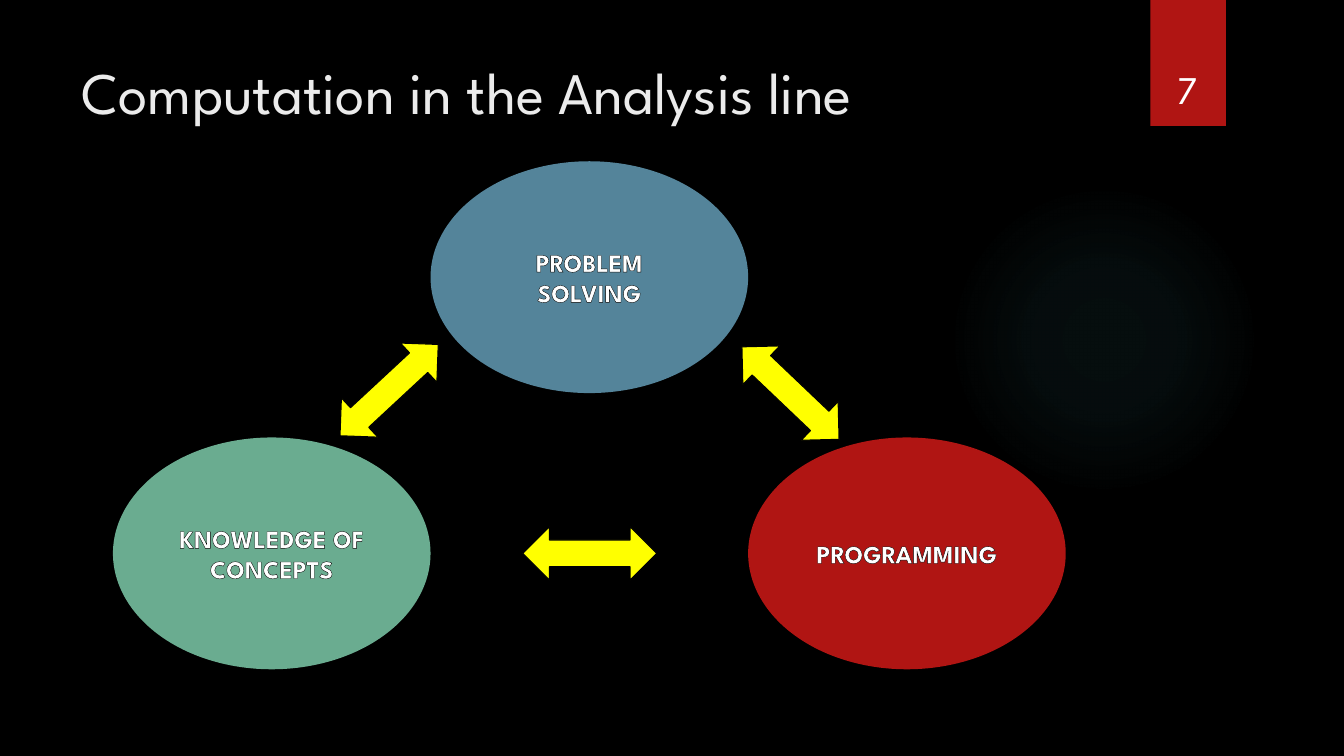
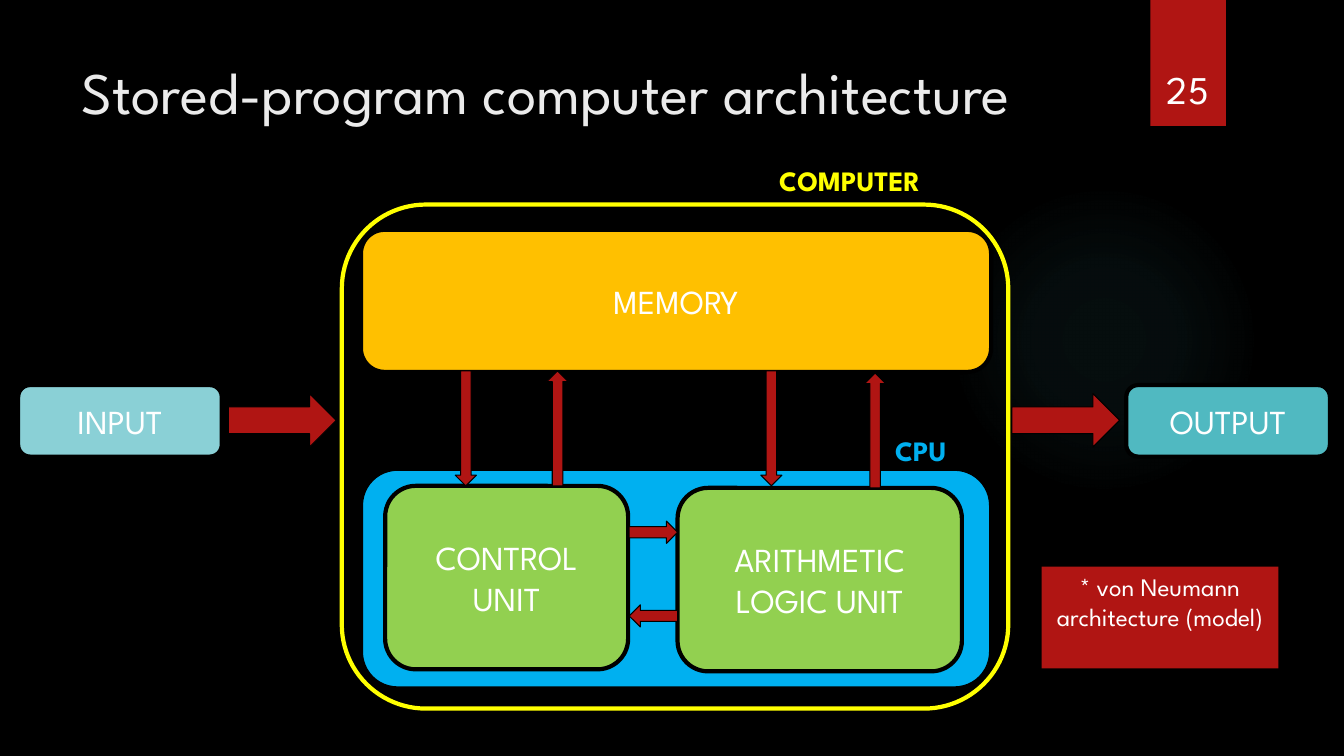
from dataclasses import dataclass

from lxml import etree
from pptx import Presentation
from pptx.dml.color import RGBColor
from pptx.enum import shapes, text
from pptx.oxml import ns
from pptx.util import Inches, Pt

KIND = shapes.MSO_SHAPE
ANCHOR = text.MSO_ANCHOR
ALIGN = text.PP_ALIGN


@dataclass(frozen=True)
class Theme:
    font: str = "League Spartan"
    black: str = "000000"
    white: str = "FFFFFF"
    title: str = "EBEBEB"
    red: str = "B01513"
    teal: str = "50B9C1"
    pale_teal: str = "8AD0D6"
    green: str = "6AAC90"
    steel: str = "54849A"
    yellow: str = "FFFF00"
    blue: str = "00B0F0"
    amber: str = "FFC000"
    lime: str = "92D050"
    title_size: int = 42
    number_size: int = 28
    block_size: int = 24
    label_size: int = 20
    body_size: int = 18
    thick: float = 3
    thin: float = 0.75


THEME = Theme()


def color(value):
    return RGBColor.from_string(value)


def inches(area):
    return [Inches(length) for length in area]


def write(box, words, size, ink=THEME.white, bold=False, align=ALIGN.CENTER,
          anchor=ANCHOR.MIDDLE, wrap=True):
    frame = box.text_frame
    frame.word_wrap = wrap
    frame.vertical_anchor = anchor
    para = frame.paragraphs[0]
    para.alignment = align
    span = para.add_run()
    span.text = words
    span.font.name = THEME.font
    span.font.size = Pt(size)
    span.font.bold = bold
    span.font.color.rgb = color(ink)
    return span


def add_words(page, area, words, size, **style):
    box = page.shapes.add_textbox(*inches(area))
    write(box, words, size, **style)


def add_block(page, kind, area, fill=None, line=None, width=THEME.thick):
    block = page.shapes.add_shape(kind, *inches(area))
    block.shadow.inherit = False
    if fill:
        block.fill.solid()
        block.fill.fore_color.rgb = color(fill)
    else:
        block.fill.background()
    if line:
        block.line.color.rgb = color(line)
        block.line.width = Pt(width)
    else:
        block.line.fill.background()
    return block


def add_arrow(page, center, size, fill, angle=0, kind=KIND.RIGHT_ARROW):
    (x, y), (width, height) = center, size
    area = (x - width / 2, y - height / 2, width, height)
    arrow = add_block(page, kind, area, fill, THEME.black, THEME.thin)
    arrow.rotation = angle


def add_glow(page):
    glow = add_block(page, KIND.OVAL, (9.41, 1.83, 3.08, 3.08))
    stops = "".join(
        f'<a:gs pos="{place * 1000}"><a:srgbClr val="{THEME.teal}">'
        f'<a:alpha val="{alpha * 1000}"/></a:srgbClr></a:gs>'
        for place, alpha in ((0, 7), (36, 6), (69, 0))
    )
    gradient = etree.fromstring(
        f'<a:gradFill {ns.nsdecls("a")}><a:gsLst>{stops}</a:gsLst>'
        '<a:path path="circle">'
        '<a:fillToRect l="50000" t="50000" r="50000" b="50000"/>'
        '</a:path></a:gradFill>'
    )
    properties = glow.element.spPr
    properties.replace(properties.find(ns.qn("a:noFill")), gradient)


def add_page(deck, title, number):
    page = deck.slides.add_slide(deck.slide_layouts[6])
    page.background.fill.solid()
    page.background.fill.fore_color.rgb = color(THEME.black)
    add_glow(page)
    add_block(page, KIND.RECTANGLE, (11.41, 0, 0.75, 1.25), THEME.red)
    add_words(page, (0.71, 0.5, 10.29, 1.53), title, THEME.title_size,
              ink=THEME.title, align=ALIGN.LEFT, anchor=ANCHOR.TOP)
    add_words(page, (11.32, 0.32, 0.92, 0.84), number, THEME.number_size,
              anchor=ANCHOR.BOTTOM)
    return page


def add_topic(page, left, top, words, fill):
    oval = add_block(page, KIND.OVAL, (left, top, 3.15, 2.3), fill)
    span = write(oval, words, THEME.body_size, bold=True)
    outline = etree.fromstring(
        f'<a:ln {ns.nsdecls("a")} w="{Pt(THEME.thin)}"><a:solidFill>'
        f'<a:srgbClr val="{THEME.black}"/></a:solidFill></a:ln>'
    )
    span.font.fill
    span.font._element.insert(0, outline) if hasattr(span.font, "_element") else \
        span._r.get_or_add_rPr().insert(0, outline)


def add_unit(page, area, words, fill):
    unit = add_block(page, KIND.ROUNDED_RECTANGLE, area, fill, THEME.black)
    write(unit, words, THEME.block_size)


def add_label(page, area, words, ink):
    add_words(page, area, words, THEME.label_size, ink=ink, bold=True,
              align=ALIGN.LEFT, anchor=ANCHOR.TOP, wrap=False)


def build_analysis(deck):
    page = add_page(deck, "Computation in the Analysis line", "7")
    add_topic(page, 7.42, 4.34, "PROGRAMMING", THEME.red)
    add_topic(page, 1.12, 4.34, "KNOWLEDGE OF CONCEPTS", THEME.green)
    add_topic(page, 4.27, 1.6, "PROBLEM SOLVING", THEME.steel)
    for center, angle in (((7.84, 3.9), 43.6), ((3.86, 3.87), 317.1),
                          ((5.85, 5.49), 0)):
        add_arrow(page, center, (1.33, 0.53), THEME.yellow, angle,
                  KIND.LEFT_RIGHT_ARROW)


def build_architecture(deck):
    page = add_page(deck, "Stored-program computer architecture", "25")
    add_block(page, KIND.ROUNDED_RECTANGLE, (3.39, 2.03, 6.61, 5),
              line=THEME.yellow)
    add_block(page, KIND.ROUNDED_RECTANGLE, (3.58, 4.65, 6.25, 2.18),
              THEME.blue, THEME.black)
    for area, words, fill in (
        ((3.58, 2.28, 6.25, 1.41), "MEMORY", THEME.amber),
        ((3.82, 4.82, 2.41, 1.82), "CONTROL UNIT", THEME.lime),
        ((6.72, 4.84, 2.82, 1.82), "ARITHMETIC LOGIC UNIT", THEME.lime),
        ((0.18, 3.82, 2.02, 0.71), "INPUT", THEME.pale_teal),
        ((11.17, 3.82, 2.02, 0.71), "OUTPUT", THEME.teal),
    ):
        add_unit(page, area, words, fill)

    for x in (2.8, 10.57):
        add_arrow(page, (x, 4.17), (1.07, 0.53), THEME.red)
    for x, y, angle in ((5.53, 4.25, 270), (8.68, 4.27, 270),
                        (4.62, 4.25, 90), (7.65, 4.25, 90)):
        add_arrow(page, (x, y), (1.14, 0.21), THEME.red, angle)
    for y, angle in ((5.28, 0), (6.11, 180)):
        add_arrow(page, (6.48, y), (0.48, 0.22), THEME.red, angle)

    add_label(page, (7.63, 1.57, 1.72, 0.44), "COMPUTER", THEME.yellow)
    add_label(page, (8.78, 4.25, 0.76, 0.44), "CPU", THEME.blue)
    note = add_block(page, KIND.RECTANGLE, (10.33, 5.62, 2.35, 1.01), THEME.red)
    write(note, "* von Neumann architecture (model)", THEME.body_size,
          anchor=ANCHOR.TOP)


def main():
    deck = Presentation()
    deck.slide_width = Inches(13.33)
    deck.slide_height = Inches(7.5)
    build_analysis(deck)
    build_architecture(deck)
    deck.save("out.pptx")


if __name__ == "__main__":
    main()
